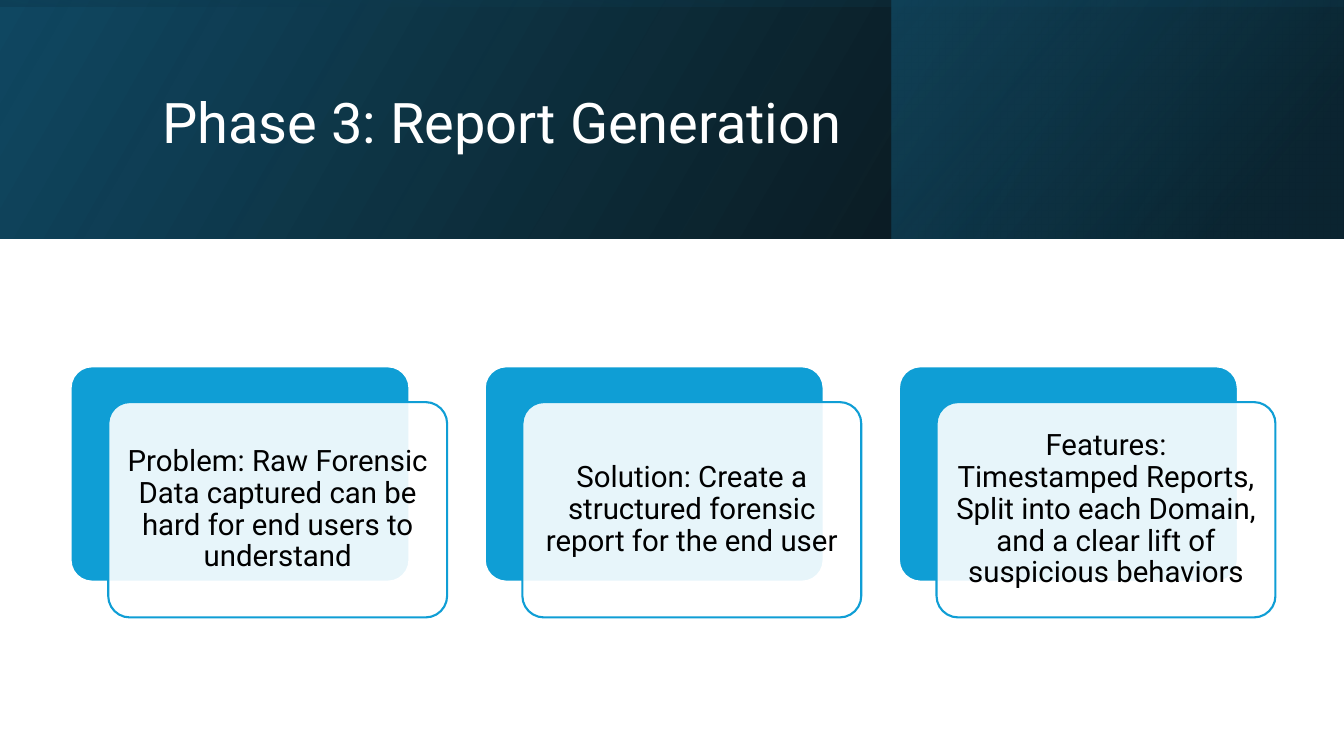
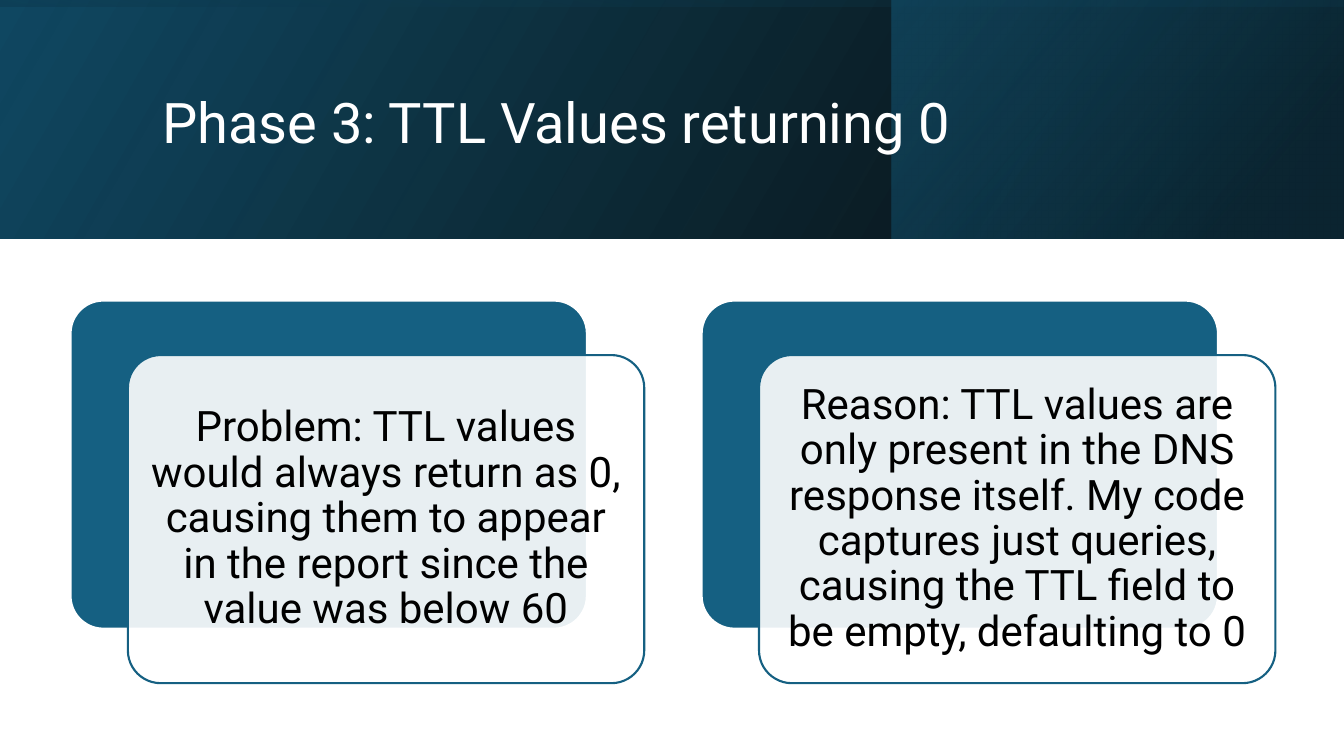
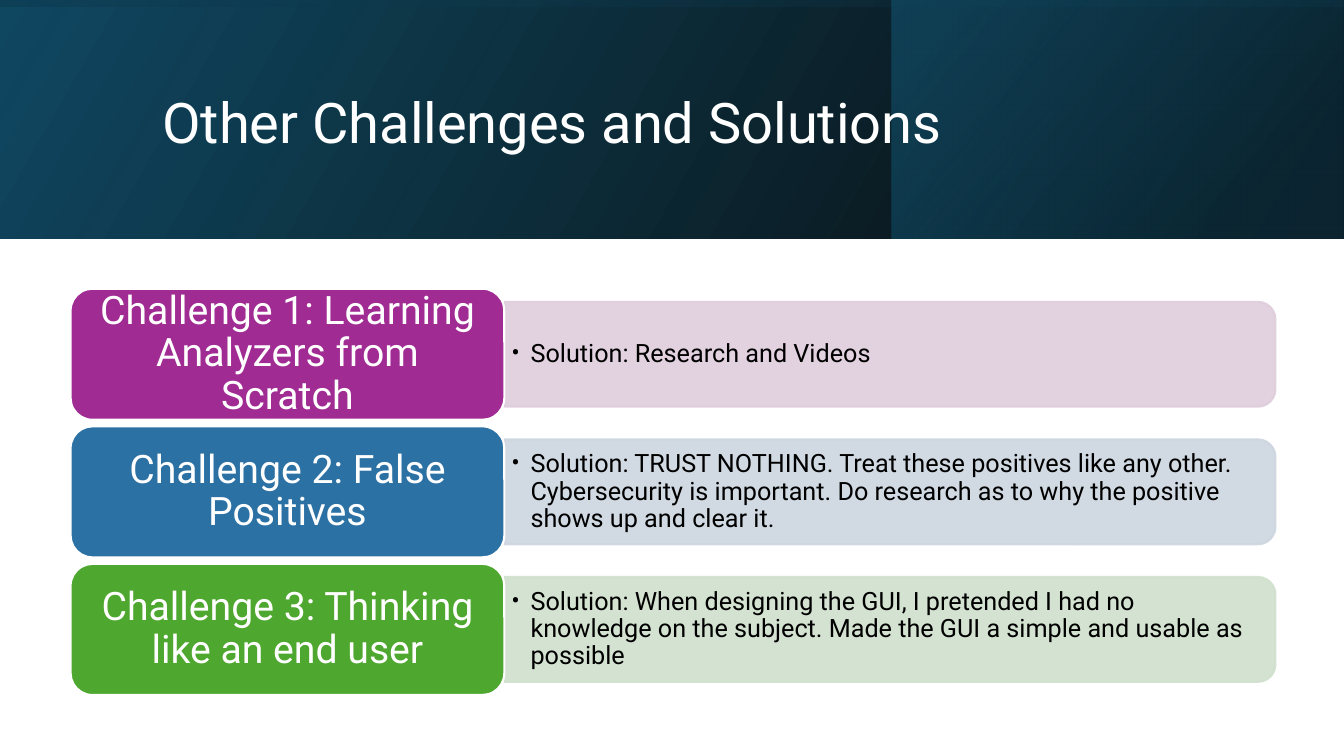
from dataclasses import dataclass

from pptx import Presentation
from pptx.dml.color import RGBColor
from pptx.enum.shapes import MSO_SHAPE
from pptx.enum.text import MSO_ANCHOR, PP_ALIGN
from pptx.oxml.ns import qn
from pptx.util import Inches, Pt

RECT = MSO_SHAPE.RECTANGLE
ROUND = MSO_SHAPE.ROUNDED_RECTANGLE
TOPS = MSO_SHAPE.ROUND_2_SAME_RECTANGLE
MID = MSO_ANCHOR.MIDDLE
LEFT, CENTER = PP_ALIGN.LEFT, PP_ALIGN.CENTER

WIDE, HIGH = 13.33, 7.5
FONT, WHITE, BLACK = "Roboto", "FFFFFF", "000000"
HEAD = 2.37              # height of the title band
EDGE, SPAN = 0.7, 11.95  # left edge and width of the body
AXIS = 4.88              # vertical middle of the body


@dataclass(frozen=True)
class Stop:
    pos: int
    color: str
    alpha: int


@dataclass(frozen=True)
class Band:
    box: tuple[float, float, float, float]
    turn: int
    angle: int
    stops: tuple[Stop, Stop]


@dataclass(frozen=True)
class Deck:
    """A row of equal cards, each lying on an offset block."""
    title: str
    color: str
    size: int
    inset: float
    cards: tuple[str, ...]


@dataclass(frozen=True)
class Row:
    name: str
    color: str
    tint: str
    answer: str


BANDS = (
    Band((0, 0, WIDE, HEAD), 0, 330,
         (Stop(0, BLACK, 96), Stop(100, "104862", 100))),
    Band((8.84, 0, 4.48, HEAD), 0, 320,
         (Stop(19, "0B3041", 68), Stop(100, "156082", 48))),
    Band(((WIDE - HEAD) / 2, (HEAD - WIDE) / 2, HEAD, WIDE), 270, 350,
         (Stop(23, "104862", 16), Stop(99, BLACK, 45))),
)

DECKS = (
    Deck("Phase 3: Report Generation", "0F9ED5", 21, 0.09, (
        "Problem: Raw Forensic Data captured can be hard for end users to "
        "understand",
        "Solution: Create a structured forensic report for the end user",
        "Features: Timestamped Reports, Split into each Domain, and a clear "
        "lift of suspicious behaviors")),
    Deck("Phase 3: TTL Values returning 0", "156082", 30, 0.12, (
        "Problem: TTL values would always return as 0, causing them to "
        "appear in the report since the value was below 60",
        "Reason: TTL values are only present in the DNS response itself. My "
        "code captures just queries, causing the TTL field to be empty, "
        "defaulting to 0")),
)

ROWS = (
    Row("Challenge 1: Learning Analyzers from Scratch", "A02B93", "DFCDDC",
        "Solution: Research and Videos"),
    Row("Challenge 2: False Positives", "2C71A4", "CDD6E0",
        "Solution: TRUST NOTHING. Treat these positives like any other. "
        "Cybersecurity is important. Do research as to why the positive "
        "shows up and clear it."),
    Row("Challenge 3: Thinking like an end user", "4EA72E", "D0E1CD",
        "Solution: When designing the GUI, I pretended I had no knowledge on "
        "the subject. Made the GUI a simple and usable as possible"),
)


def rgb(color: str) -> RGBColor:
    return RGBColor.from_string(color)


def fade(shape, *alphas: int) -> None:
    """Give the shape's colours, in order, these opacities in percent."""
    tones = shape._element.spPr.iter(qn("a:srgbClr"))
    for tone, alpha in zip(list(tones), alphas):
        node = tone.makeelement(qn("a:alpha"), {"val": str(alpha * 1000)})
        tone.append(node)


def add(slide, kind, x: float, y: float, w: float, h: float):
    shape = slide.shapes.add_shape(
        kind, Inches(x), Inches(y), Inches(w), Inches(h))
    shape.shadow.inherit = False
    return shape


def paint(shape, color: str, line: str, alpha: int = 100) -> None:
    shape.fill.solid()
    shape.fill.fore_color.rgb = rgb(color)
    if alpha < 100:
        fade(shape, alpha)
    shape.line.color.rgb = rgb(line)
    shape.line.width = Pt(1.5)


def write(shape, text: str, size: int, color: str, align=CENTER,
          inset: tuple[float, float] = (0.1, 0.05)):
    frame = shape.text_frame
    frame.text = text
    frame.word_wrap = True
    frame.vertical_anchor = MID
    frame.margin_left = frame.margin_right = Inches(inset[0])
    frame.margin_top = frame.margin_bottom = Inches(inset[1])
    para = frame.paragraphs[0]
    para.alignment = align
    para.line_spacing = 0.9
    font = para.runs[0].font
    font.name, font.size = FONT, Pt(size)
    font.color.rgb = rgb(color)
    return para


def bullet(para, indent: float) -> None:
    props = para._p.get_or_add_pPr()
    props.set("marL", str(Inches(indent)))
    props.set("indent", str(-Inches(indent)))
    props.append(props.makeelement(qn("a:buFont"), {"typeface": FONT}))
    props.append(props.makeelement(qn("a:buChar"), {"char": "•"}))


def start(prs, text: str):
    """Add a slide with the shared bands and its title on top of them."""
    slide = prs.slides.add_slide(prs.slide_layouts[5])
    for band in BANDS:
        shape = add(slide, RECT, *band.box)
        shape.line.fill.background()
        shape.rotation = band.turn
        shape._element.spPr.xfrm.set("flipH", "1")
        shape.fill.gradient()
        shape.fill.gradient_angle = 360 - band.angle
        for node, stop in zip(shape.fill.gradient_stops, band.stops):
            node.position = stop.pos / 100
            node.color.rgb = rgb(stop.color)
        fade(shape, *(stop.alpha for stop in band.stops))
    title = slide.shapes.title
    title.left, title.top = Inches(1.51), Inches(0.38)
    title.width, title.height = Inches(10.63), Inches(1.72)
    write(title, text, 40, WHITE, LEFT)
    slide.shapes._spTree.append(title._element)
    return slide


def draw_deck(prs, deck: Deck) -> None:
    slide = start(prs, deck.title)
    # A card is 9 units wide, shifted by 1 and followed by a gap of 1.
    unit = SPAN / (11 * len(deck.cards) - 1)
    w, h, drop = 9 * unit, 5.72 * unit, 0.95 * unit
    top = AXIS - (h + drop) / 2
    for i, text in enumerate(deck.cards):
        x = EDGE + 11 * unit * i
        back = add(slide, ROUND, x, top, w, h)
        paint(back, deck.color, WHITE)
        card = add(slide, ROUND, x + unit, top + drop, w, h)
        paint(card, WHITE, deck.color, 90)
        for shape in (back, card):
            shape.adjustments[0] = 0.1
        write(card, text, deck.size, BLACK, inset=(deck.inset, deck.inset))


def draw_rows(prs, text: str, rows: tuple[Row, ...]) -> None:
    slide = start(prs, text)
    w, h = 0.36 * SPAN, 1.3
    step, thick, long = 1.05 * h, 0.8 * h, SPAN - w
    top = AXIS - (step * (len(rows) - 1) + h) / 2
    for i, row in enumerate(rows):
        y = top + step * i
        mid = y + h / 2
        bar = add(slide, TOPS, EDGE + w + (long - thick) / 2,
                  mid - long / 2, thick, long)
        bar.rotation = 90
        paint(bar, row.tint, row.tint)
        fade(bar, 90, 90)
        note = slide.shapes.add_textbox(
            Inches(EDGE + w), Inches(mid - 0.47), Inches(7.58), Inches(0.94))
        bullet(write(note, row.answer, 18, BLACK, LEFT, (0.07, 0.04)), 0.19)
        name = add(slide, ROUND, EDGE, y, w, h)
        paint(name, row.color, WHITE)
        write(name, row.name, 28, WHITE, inset=(0.12, 0.06))


def main() -> None:
    prs = Presentation()
    prs.slide_width, prs.slide_height = Inches(WIDE), Inches(HIGH)
    for deck in DECKS:
        draw_deck(prs, deck)
    draw_rows(prs, "Other Challenges and Solutions", ROWS)
    prs.save("out.pptx")


if __name__ == "__main__":
    main()
